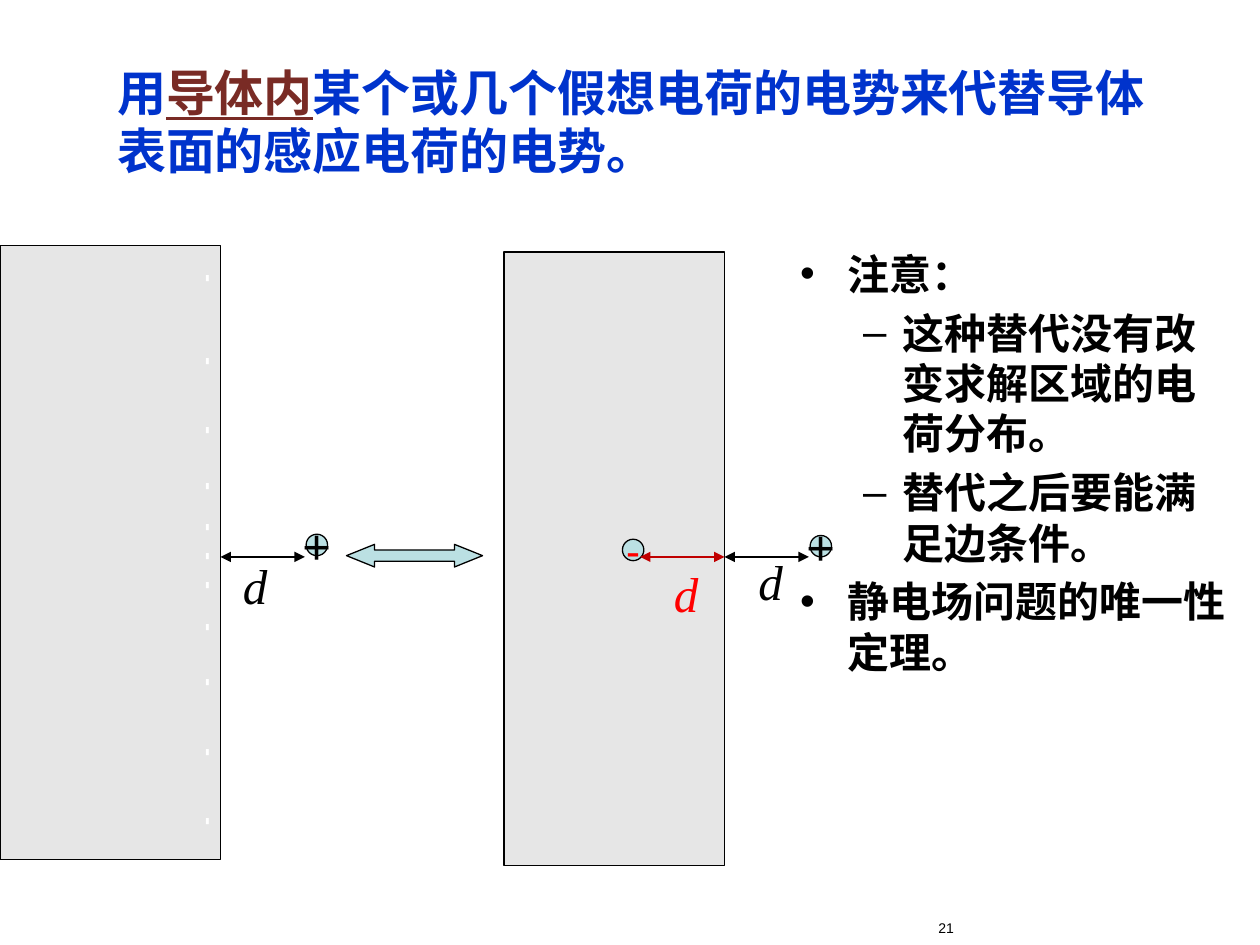
"""Build the slide on image charges beside a conductor."""
from itertools import accumulate
from lxml import etree
from pptx import Presentation, util as u
from pptx.dml.color import RGBColor
from pptx.enum import shapes, text
from pptx.oxml.ns import qn

SERIF, SANS = "Times New Roman", "Arial"
BLACK, RED, BLUE, BROWN = "000000", "FF0000", "0033CC", "792B25"
GREY, AQUA, WHITE = "E6E6E6", "BBE0E3", "FFFFFF"

TITLE = [("用", BLUE, False), ("导体内", BROWN, True),
         ("某个或几个假想电荷的电势来代替导体表面的感应电荷的电势。", BLUE, False)]
NOTES = [(0, "注意："), (1, "这种替代没有改变求解区域的电荷分布。"),
         (1, "替代之后要能满足边条件。"), (0, "静电场问题的唯一性定理。")]
SLABS = [(0, 1.95), (4, 2)]
PLUSES = [(2.43, 4.24), (6.43, 4.25)]
SPANS = [1.75, 5.75]
LABELS = [(1.83, 4.36), (5.92, 4.33)]
GAPS = [0.66, 0.55, 0.44, 0.33, 0.23, 0.23, 0.33, 0.44, 0.55, 0.55]
AXIS, REACH, DOT = 4.42, 0.67, 0.17


def color(code):
    return RGBColor.from_string(code)


def box(*sides):
    return [u.Inches(side) for side in sides]


def place(item, *sides):
    item.left, item.top, item.width, item.height = box(*sides)


def write(para, words, size, face, code, **marks):
    run = para.add_run()
    run.text = words
    font = run.font
    font.size, font.name = u.Pt(size), face
    font.color.rgb = color(code)
    for name, value in marks.items():
        setattr(font, name, value)


def shape(host, kind, sides, fill):
    item = host.add_shape(kind, *box(*sides))
    item.shadow.inherit = False
    item.fill.solid()
    item.fill.fore_color.rgb = color(fill)
    item.line.color.rgb = color(BLACK)
    item.line.width = u.Pt(0.75)
    return item


def charge(host, left, top, sign, size, code):
    item = shape(host, shapes.MSO_SHAPE.OVAL, (left, top, DOT, DOT), AQUA)
    frame = item.text_frame
    frame.word_wrap = False
    frame.vertical_anchor = text.MSO_ANCHOR.MIDDLE
    para = frame.paragraphs[0]
    para.alignment = text.PP_ALIGN.CENTER
    write(para, sign, size, SANS, code)


def span(host, left, code):
    line = host.add_connector(shapes.MSO_CONNECTOR.STRAIGHT,
                              *box(left, AXIS, left + REACH, AXIS))
    line.line.color.rgb = color(code)
    line.line.width = u.Pt(1.5)
    edge = line.line._get_or_add_ln()
    for end in ("a:headEnd", "a:tailEnd"):
        etree.SubElement(edge, qn(end), type="triangle")
    etree.SubElement(line._element.spPr, qn("a:effectLst"))


def label(host, left, top, code):
    frame = host.add_textbox(*box(left, top, 0.4, 0.57)).text_frame
    frame.word_wrap = False
    write(frame.paragraphs[0], "d", 28, SERIF, code, italic=True)


def heads(slide):
    title, body = slide.placeholders
    place(title, 0.83, 0.42, 8.67, 1.08)
    frame = title.text_frame
    frame.auto_size = text.MSO_AUTO_SIZE.NONE
    frame.vertical_anchor = text.MSO_ANCHOR.MIDDLE
    para = frame.paragraphs[0]
    para.alignment = text.PP_ALIGN.LEFT
    for words, code, under in TITLE:
        write(para, words, 28, SERIF, code, bold=True, underline=under)

    place(body, 6.25, 1.92, 3.58, 5.08)
    frame = body.text_frame
    frame.auto_size = text.MSO_AUTO_SIZE.NONE
    for row, (level, words) in enumerate(NOTES):
        para = frame.add_paragraph() if row else frame.paragraphs[0]
        para.level = level
        if not row:
            para.space_before = u.Pt(0)
        write(para, words, 24, SANS, BLACK, bold=True)


def minus(host):
    frame = host.add_textbox(*box(1.4, 2.08, 0.44, 5.17)).text_frame
    frame.word_wrap = True
    frame._txBody.bodyPr.set("vert", "eaVert")
    para = frame.paragraphs[0]
    tabs = etree.SubElement(para._p.get_or_add_pPr(), qn("a:tabLst"))
    for stop in accumulate(GAPS):
        etree.SubElement(tabs, qn("a:tab"), pos=str(u.Inches(stop)), algn="l")
    write(para, "\t".join("-" * (len(GAPS) + 1)), 14, SANS, WHITE, bold=True)


def main():
    deck = Presentation()
    deck.slide_width, deck.slide_height = box(10, 7.5)
    slide = deck.slides.add_slide(deck.slide_layouts[1])
    heads(slide)
    host = slide.shapes
    page = host.add_textbox(*box(6.75, 7.25, 0.92, 0.25)).text_frame
    page.word_wrap = True
    page.paragraphs[0].alignment = text.PP_ALIGN.RIGHT
    write(page.paragraphs[0], "21", 8, SANS, BLACK)

    for left, top in SLABS:
        shape(host, shapes.MSO_SHAPE.RECTANGLE, (left, top, 1.75, 4.87), GREY)
    minus(host)
    for spot in PLUSES:
        charge(host, *spot, "+", 28, BLACK)
    for left in SPANS:
        span(host, left, BLACK)
    for spot in LABELS:
        label(host, *spot, BLACK)
    arrow = shape(host, shapes.MSO_SHAPE.LEFT_RIGHT_ARROW,
                  (2.75, 4.32, 1.08, 0.18), AQUA)
    arrow.adjustments[0], arrow.adjustments[1] = 0.5, 1.24

    mirror = host.add_group_shape().shapes
    charge(mirror, 4.94, 4.28, "-", 24, RED)
    span(mirror, SPANS[1] - REACH, "C00000")
    label(mirror, 5.25, 4.42, RED)
    deck.save("out.pptx")


if __name__ == "__main__":
    main()
